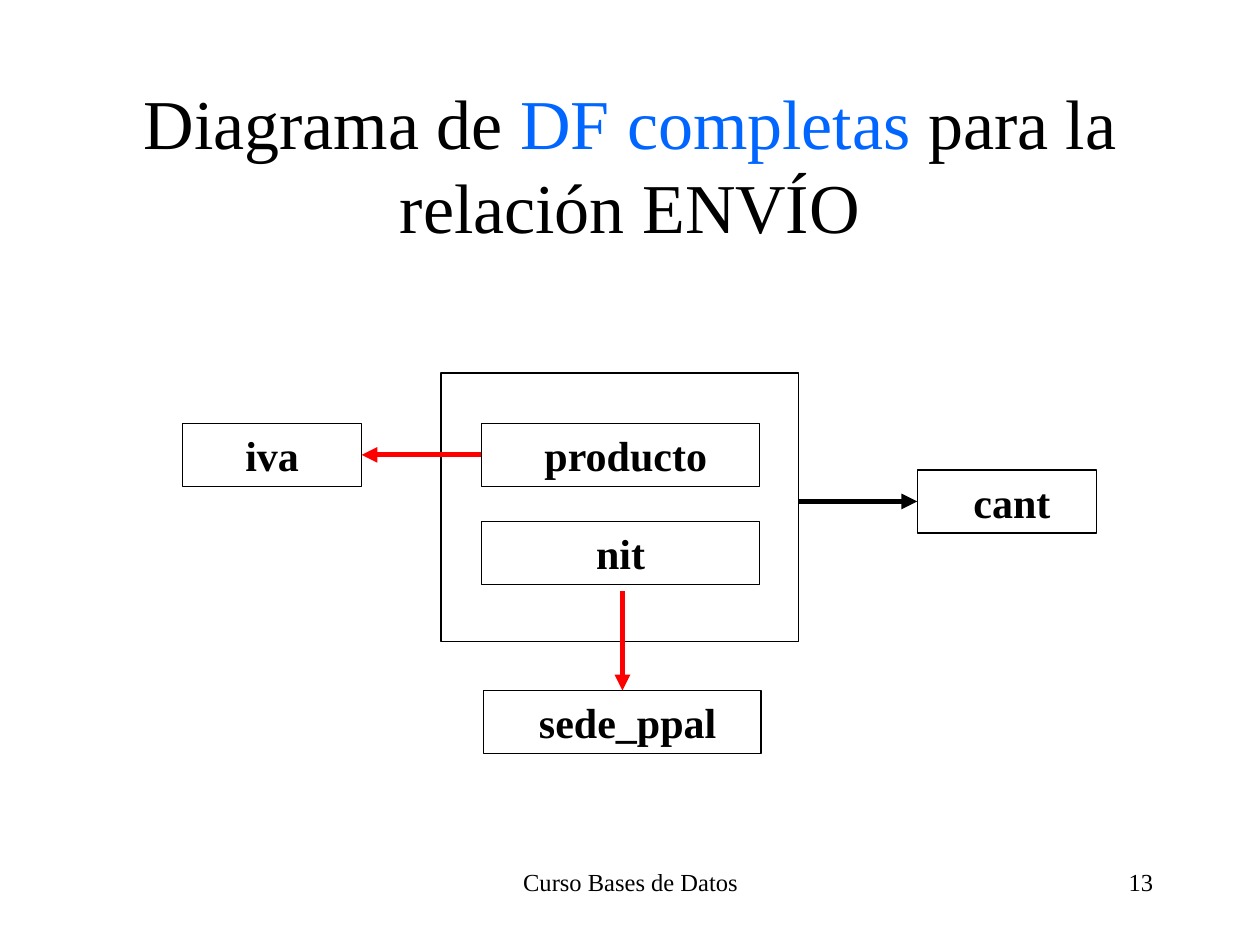
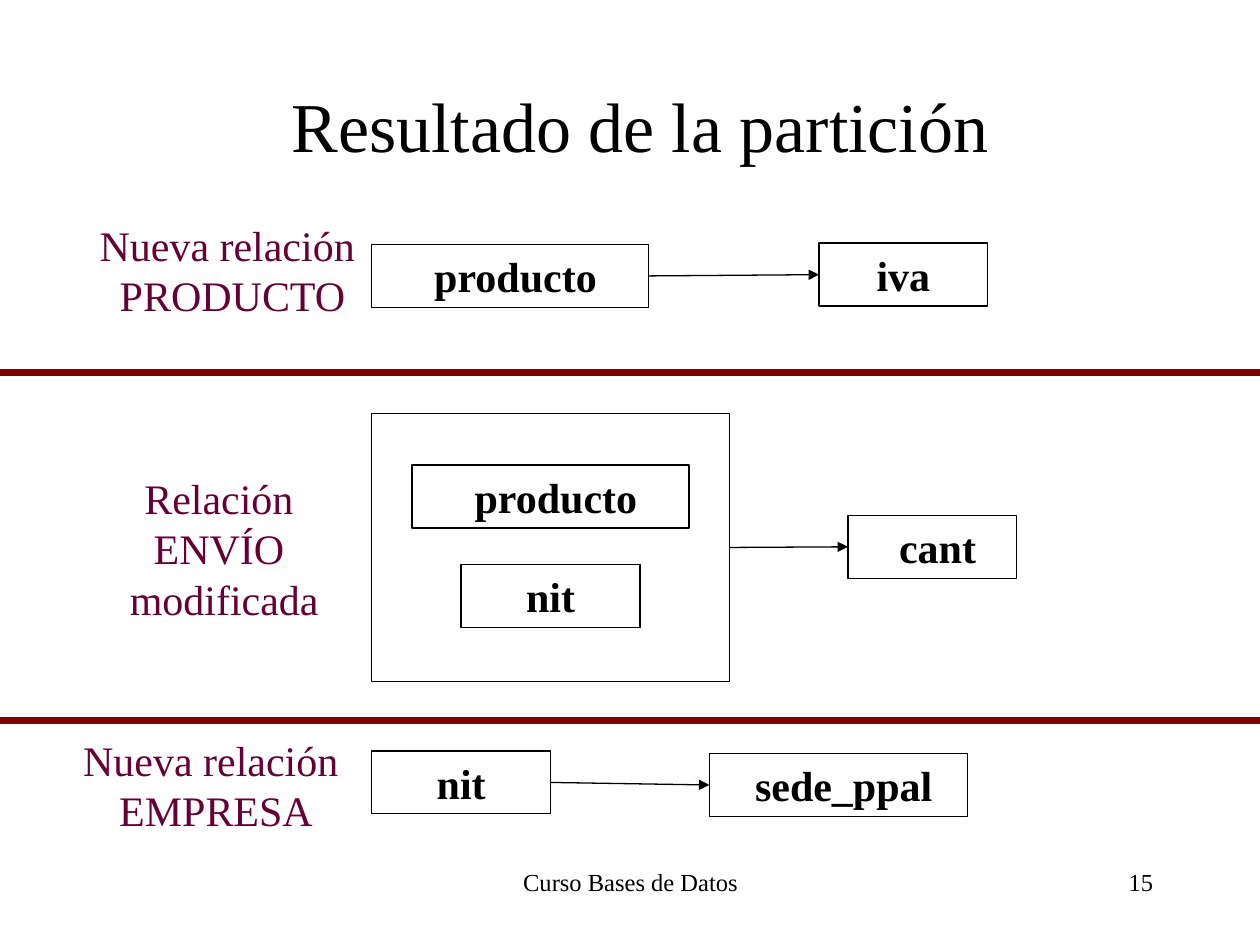
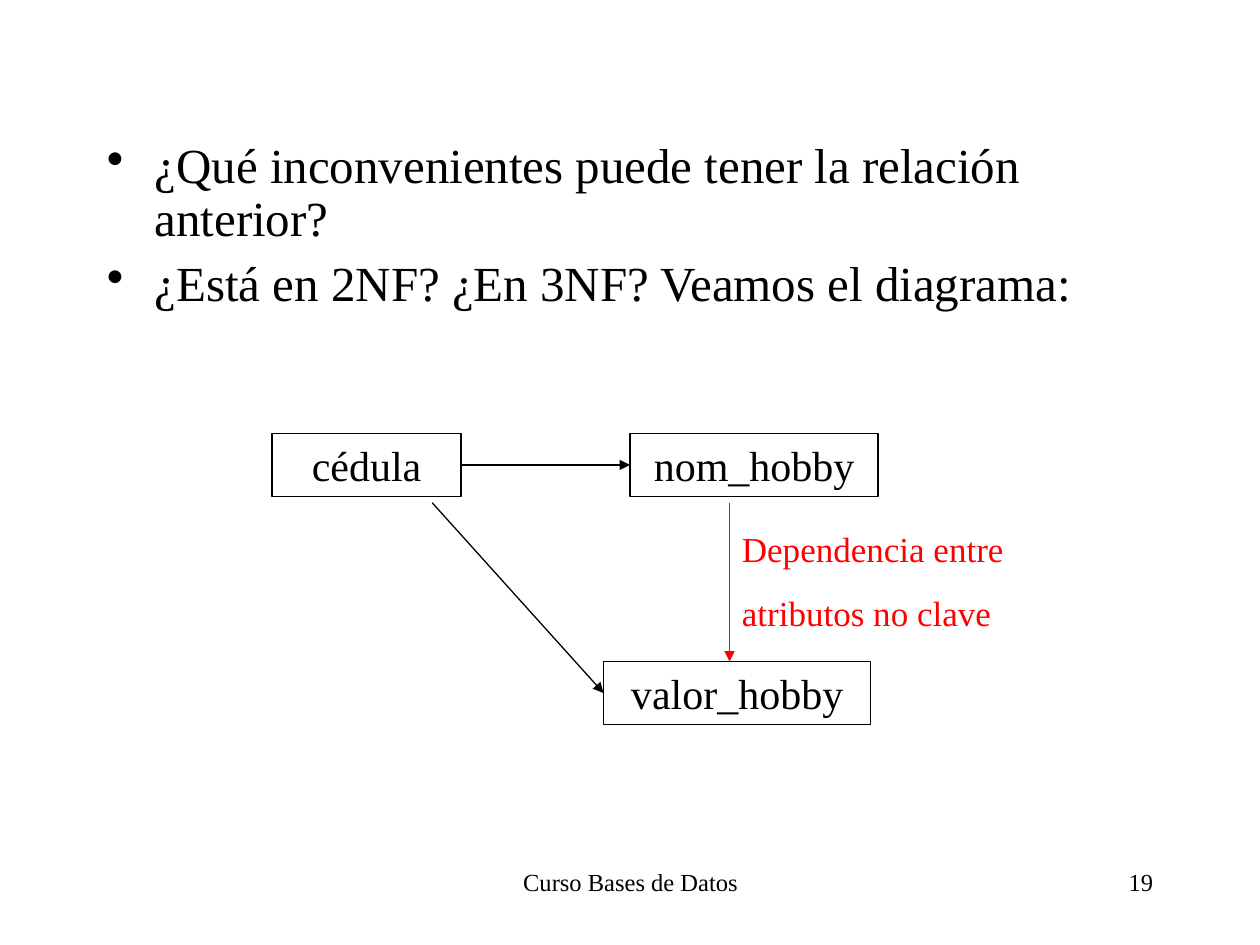
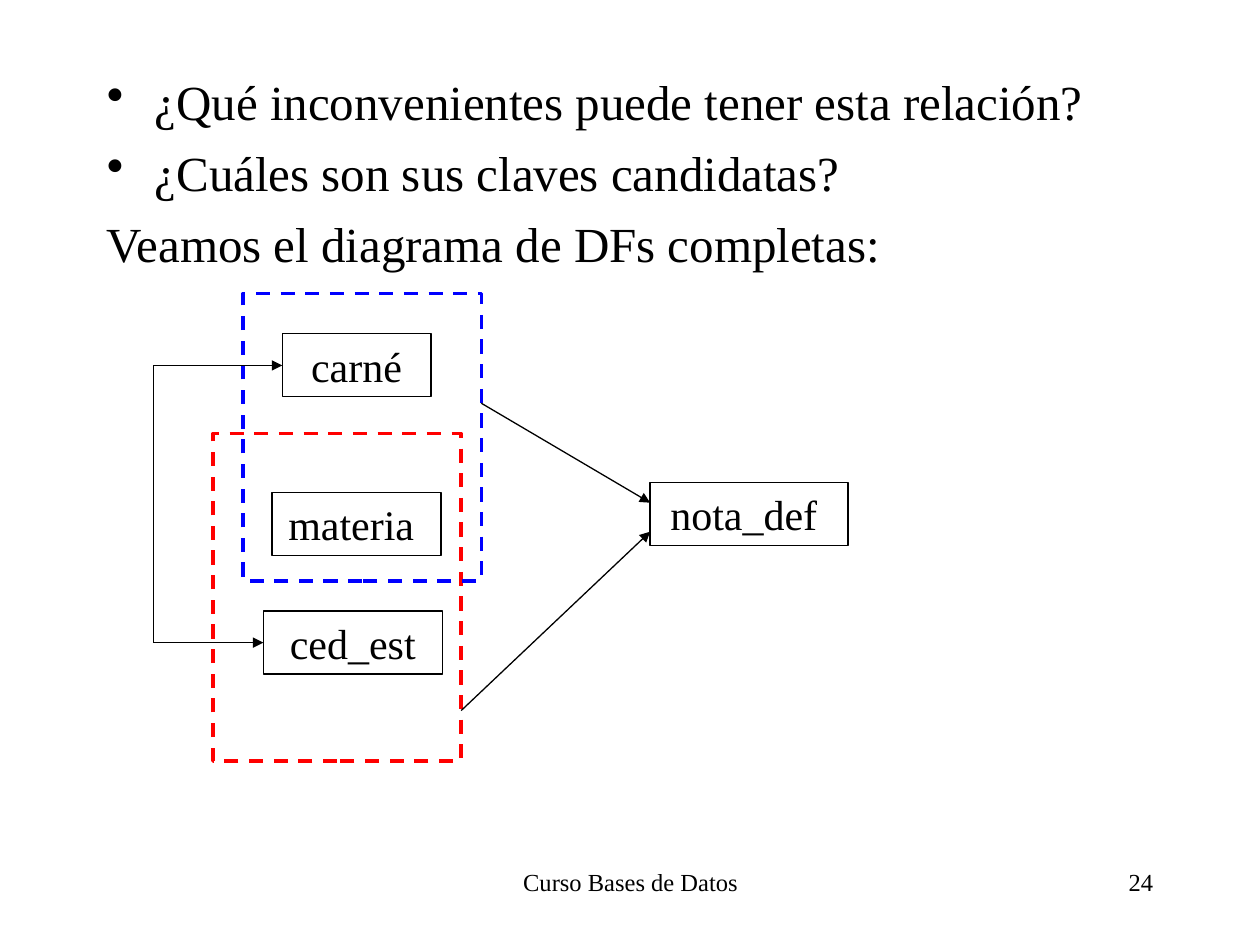
from dataclasses import dataclass
from typing import Optional, Union

import pptx
import pptx.dml.color
import pptx.enum.dml
import pptx.enum.shapes
import pptx.enum.text
import pptx.oxml
import pptx.oxml.ns
import pptx.shapes.autoshape
import pptx.slide
import pptx.util
from pptx.util import Inches

RGBColor = pptx.dml.color.RGBColor
Align = pptx.enum.text.PP_ALIGN
Anchor = pptx.enum.text.MSO_ANCHOR
AutoSize = pptx.enum.text.MSO_AUTO_SIZE
Shape = pptx.shapes.autoshape.Shape
Slide = pptx.slide.Slide

BLACK = RGBColor(0x00, 0x00, 0x00)
RED = RGBColor(0xFF, 0x00, 0x00)
BLUE = RGBColor(0x00, 0x00, 0xFF)
HIGHLIGHT = RGBColor(0x00, 0x66, 0xFF)
PLUM = RGBColor(0x66, 0x00, 0x33)
MAROON = RGBColor(0x80, 0x00, 0x00)

FONT = "Times New Roman"
FOOTER = "Curso Bases de Datos"
BOX_HEIGHT = 0.5
THIN, THICK = 0.75, 3
TOP, LEFT, BOTTOM, RIGHT = range(4)
TOP_LEVEL_INDENT = 0.38
INSETS = {
    "margin_left": Inches(0.1),
    "margin_right": Inches(0.1),
    "margin_top": Inches(0.05),
    "margin_bottom": Inches(0.05),
}


@dataclass(frozen=True)
class Run:
    text: str
    color: RGBColor = BLACK


@dataclass(frozen=True)
class Paragraph:
    runs: tuple[Run, ...]
    bulleted: bool = False


@dataclass(frozen=True)
class TextStyle:
    size: float
    align: Align = Align.LEFT
    bold: bool = False
    anchor: Anchor = Anchor.TOP
    auto_size: AutoSize = AutoSize.NONE
    word_wrap: bool = True
    space_before: float = 0
    line_spacing: float = 1.0


@dataclass(frozen=True)
class Attribute:
    """A box that names one attribute of a relation."""
    text: str
    left: float
    top: float
    width: float


@dataclass(frozen=True)
class Frame:
    """An outline that groups the attributes of a key."""
    left: float
    top: float
    width: float
    height: float
    color: RGBColor = BLACK
    weight: float = THIN
    dashed: bool = False


@dataclass(frozen=True)
class Site:
    """The middle of one side of a shape."""
    shape: Shape
    side: int


Point = tuple[float, float]
End = Union[Point, Site]

TITLE = TextStyle(40, Align.CENTER, anchor=Anchor.MIDDLE)
KEY = TextStyle(24, Align.CENTER, bold=True, auto_size=AutoSize.SHAPE_TO_FIT_TEXT)
PLAIN = TextStyle(24, Align.CENTER, auto_size=AutoSize.SHAPE_TO_FIT_TEXT)
RELATION = TextStyle(24, Align.CENTER, auto_size=AutoSize.SHAPE_TO_FIT_TEXT, word_wrap=False)
REMARK = TextStyle(20, auto_size=AutoSize.SHAPE_TO_FIT_TEXT, space_before=12.5)
BODY = TextStyle(28, space_before=7)
TIGHT_BODY = TextStyle(28, space_before=7, line_spacing=0.9)


def set_all(target: object, values: dict[str, object]) -> None:
    for name, value in values.items():
        setattr(target, name, value)


def lines(*texts: str, color: RGBColor = BLACK, bulleted: bool = False) -> list[Paragraph]:
    return [Paragraph((Run(text, color),), bulleted) for text in texts]


def add_bullet(paragraph: object) -> None:
    properties = paragraph._p.get_or_add_pPr()
    indent = Inches(TOP_LEVEL_INDENT)
    properties.set("marL", str(indent))
    properties.set("indent", str(-indent))
    namespace = pptx.oxml.ns.nsdecls("a")
    for xml in (
        f'<a:buClr {namespace}><a:srgbClr val="{BLACK}"/></a:buClr>',
        f'<a:buChar {namespace} char="•"/>',
    ):
        properties.append(pptx.oxml.parse_xml(xml))


def write_text(shape: Shape, paragraphs: list[Paragraph], style: TextStyle) -> None:
    frame = shape.text_frame
    set_all(frame, {
        **INSETS,
        "word_wrap": style.word_wrap,
        "auto_size": style.auto_size,
        "vertical_anchor": style.anchor,
    })
    for index, content in enumerate(paragraphs):
        paragraph = frame.add_paragraph() if index else frame.paragraphs[0]
        if content.bulleted:
            add_bullet(paragraph)
        set_all(paragraph, {
            "alignment": style.align,
            "line_spacing": style.line_spacing,
            "space_before": pptx.util.Pt(style.space_before if index else 0),
        })
        for part in content.runs:
            run = paragraph.add_run()
            run.text = part.text
            set_all(run.font, {"name": FONT, "size": pptx.util.Pt(style.size), "bold": style.bold})
            run.font.color.rgb = part.color


def add_text(slide: Slide, left: float, top: float, width: float, height: float,
             paragraphs: list[Paragraph], style: TextStyle) -> None:
    box = slide.shapes.add_textbox(Inches(left), Inches(top), Inches(width), Inches(height))
    write_text(box, paragraphs, style)


def add_title(slide: Slide, left: float, top: float, *runs: Run) -> None:
    add_text(slide, left, top, 8.5, 1.25, [Paragraph(runs)], TITLE)


def add_frame(slide: Slide, frame: Frame) -> Shape:
    shape = slide.shapes.add_shape(
        pptx.enum.shapes.MSO_SHAPE.RECTANGLE,
        Inches(frame.left), Inches(frame.top), Inches(frame.width), Inches(frame.height),
    )
    shape.shadow.inherit = False
    shape.fill.background()
    shape.line.color.rgb = frame.color
    shape.line.width = pptx.util.Pt(frame.weight)
    if frame.dashed:
        shape.line.dash_style = pptx.enum.dml.MSO_LINE.DASH
    return shape


def add_attributes(slide: Slide, style: TextStyle, *attributes: Attribute) -> list[Shape]:
    shapes = []
    for attribute in attributes:
        shape = add_frame(slide, Frame(attribute.left, attribute.top, attribute.width, BOX_HEIGHT))
        write_text(shape, lines(attribute.text), style)
        shapes.append(shape)
    return shapes


def add_line(slide: Slide, start: End, end: End, color: RGBColor = BLACK,
             weight: float = THIN, arrow: bool = True) -> None:
    """Draw a line, joined to a shape at each end given as a Site."""
    points = [(0, 0) if isinstance(place, Site) else place for place in (start, end)]
    connector = slide.shapes.add_connector(
        pptx.enum.shapes.MSO_CONNECTOR.STRAIGHT,
        *(Inches(value) for point in points for value in point),
    )
    for place, connect in ((start, connector.begin_connect), (end, connector.end_connect)):
        if isinstance(place, Site):
            connect(place.shape, place.side)
    connector.line.color.rgb = color
    connector.line.width = pptx.util.Pt(weight)
    namespace = pptx.oxml.ns.nsdecls("a")
    if arrow:
        connector.line._get_or_add_ln().append(
            pptx.oxml.parse_xml(f'<a:tailEnd {namespace} type="triangle"/>'))
    connector._element.spPr.append(pptx.oxml.parse_xml(f"<a:effectLst {namespace}/>"))


def add_slide(presentation: object, number: int) -> Slide:
    """Add a blank slide with the course name and its number at the foot."""
    slide = presentation.slides.add_slide(presentation.slide_layouts[6])
    for left, width, text, align in (
        (3.42, 3.17, FOOTER, Align.CENTER),
        (7.17, 2.08, str(number), Align.RIGHT),
    ):
        add_text(slide, left, 6.83, width, 0.5, lines(text), TextStyle(14, align))
    return slide


def build_dependency_diagram(presentation: object) -> None:
    slide = add_slide(presentation, 13)
    add_title(slide, 0.75, 0.67, Run("Diagrama de "), Run("DF completas", HIGHLIGHT),
              Run(" para la relación ENVÍO"))
    add_frame(slide, Frame(3.5, 2.96, 2.84, 2.13))
    product, _, office, tax, quantity = add_attributes(
        slide, KEY,
        Attribute(" producto", 3.82, 3.36, 2.21),
        Attribute("nit", 3.82, 4.14, 2.21),
        Attribute(" sede_ppal", 3.84, 5.48, 2.2),
        Attribute("iva", 1.45, 3.36, 1.42),
        Attribute(" cant", 7.28, 3.73, 1.42),
    )
    add_line(slide, (6.34, 3.98), Site(quantity, LEFT), weight=THICK)
    add_line(slide, Site(product, LEFT), Site(tax, RIGHT), RED, THICK)
    add_line(slide, (4.94, 4.69), Site(office, TOP), RED, THICK)


def build_partition_result(presentation: object) -> None:
    slide = add_slide(presentation, 15)
    add_title(slide, 0.83, 0.36, Run("Resultado de la partición"))
    key_frame = add_frame(slide, Frame(2.95, 3.28, 2.84, 2.13))
    _, _, quantity, product, tax, company, office = add_attributes(
        slide, KEY,
        Attribute(" producto", 3.27, 3.69, 2.2),
        Attribute("nit", 3.66, 4.48, 1.42),
        Attribute(" cant", 6.73, 4.09, 1.34),
        Attribute(" producto", 2.95, 1.94, 2.2),
        Attribute("iva", 6.5, 1.93, 1.34),
        Attribute("nit", 2.95, 5.96, 1.42),
        Attribute(" sede_ppal", 5.63, 5.98, 2.05),
    )
    for source, target in ((key_frame, quantity), (product, tax), (company, office)):
        add_line(slide, Site(source, RIGHT), Site(target, LEFT))
    for left, top, width, height, texts in (
        (0.69, 1.69, 2.31, 0.9, ("Nueva relación ", "PRODUCTO")),
        (0.93, 3.7, 1.7, 1.3, ("Relación ", "ENVÍO ", "modificada")),
        (0.56, 5.78, 2.31, 0.9, ("Nueva relación ", "EMPRESA")),
    ):
        add_text(slide, left, top, width, height, lines(*texts, color=PLUM), RELATION)
    for separator_top in (2.96, 5.72):
        add_line(slide, (0, separator_top), (10, separator_top), MAROON, 4, arrow=False)


def build_hobby_diagram(presentation: object) -> None:
    slide = add_slide(presentation, 19)
    questions = lines(
        "¿Qué inconvenientes puede tener la relación anterior?",
        "¿Está en 2NF? ¿En 3NF? Veamos el diagrama:",
        bulleted=True,
    )
    add_text(slide, 0.75, 1.07, 8.5, 1.5, questions, TIGHT_BODY)
    person, hobby, price = add_attributes(
        slide, PLAIN,
        Attribute("cédula", 2.16, 3.44, 1.5),
        Attribute("nom_hobby", 5, 3.44, 1.97),
        Attribute("valor_hobby", 4.79, 5.25, 2.12),
    )
    add_line(slide, (5.79, 3.99), (5.79, 5.25), RED)
    add_line(slide, Site(person, RIGHT), Site(hobby, LEFT))
    add_line(slide, (3.43, 3.99), Site(price, LEFT))
    add_text(slide, 5.79, 4.14, 2.44, 0.94,
             lines("Dependencia entre", "atributos no clave", color=RED), REMARK)


def build_candidate_keys(presentation: object) -> None:
    slide = add_slide(presentation, 24)
    questions = lines(
        "¿Qué inconvenientes puede tener esta relación?",
        "¿Cuáles son sus claves candidatas?",
        bulleted=True,
    )
    add_text(slide, 0.75, 0.52, 8.5, 6.15,
             questions + lines("Veamos el diagrama de DFs completas:"), BODY)
    card, identity, _, _ = add_attributes(
        slide, PLAIN,
        Attribute("carné", 2.24, 2.65, 1.18),
        Attribute("ced_est", 2.09, 4.85, 1.42),
        Attribute("materia ", 2.16, 3.91, 1.34),
        Attribute("nota_def ", 5.16, 3.83, 1.57),
    )
    for frame in (
        Frame(1.69, 3.44, 1.97, 2.6, RED, 2, dashed=True),
        Frame(1.93, 2.33, 1.89, 2.28, BLUE, 2, dashed=True),
    ):
        add_frame(slide, frame)
    add_line(slide, (3.82, 3.2), (5.16, 3.99))
    add_line(slide, (3.66, 5.64), (5.16, 4.22))
    bracket_left, card_middle, identity_middle = 1.22, 2.9, 5.1
    add_line(slide, (bracket_left, card_middle), (bracket_left, identity_middle), arrow=False)
    add_line(slide, (bracket_left, card_middle), Site(card, LEFT))
    add_line(slide, (bracket_left, identity_middle), Site(identity, LEFT))


def main() -> None:
    presentation = pptx.Presentation()
    set_all(presentation, {"slide_width": Inches(10), "slide_height": Inches(7.5)})
    for build in (build_dependency_diagram, build_partition_result,
                  build_hobby_diagram, build_candidate_keys):
        build(presentation)
    presentation.save("out.pptx")


if __name__ == "__main__":
    main()
